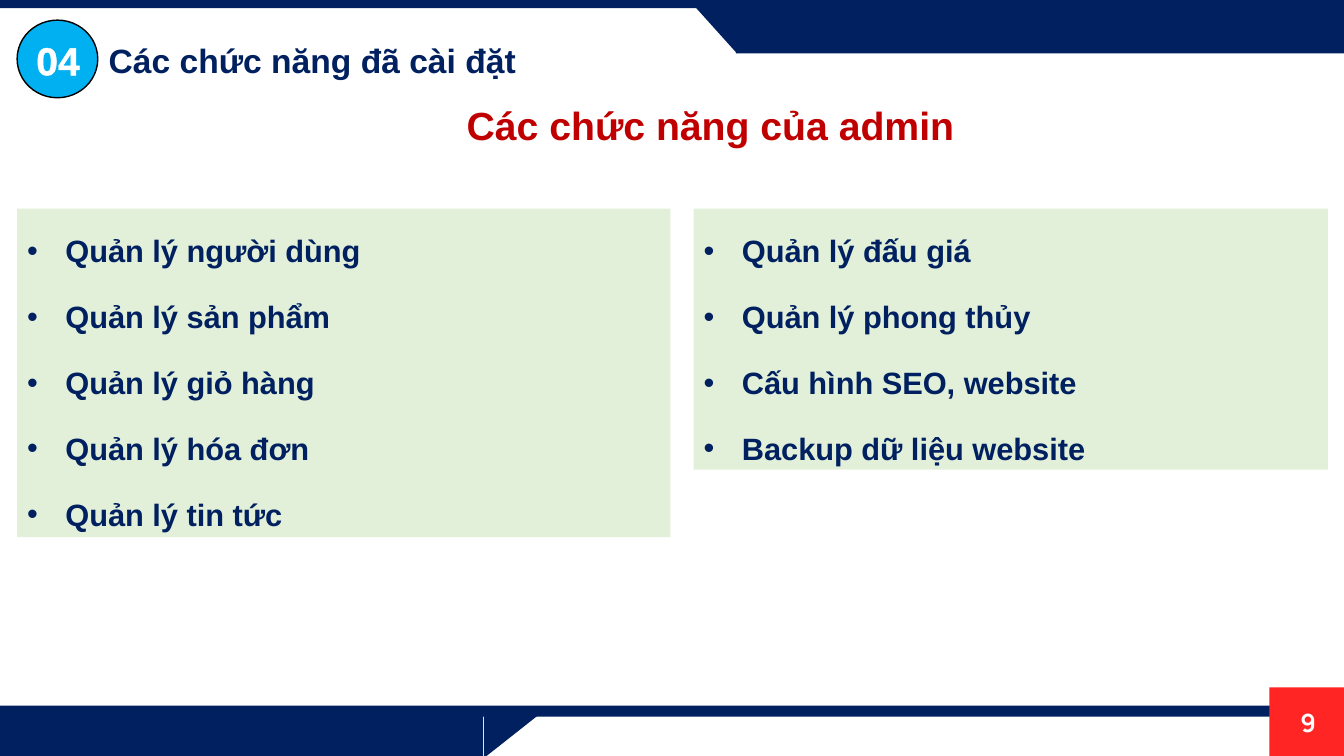
"""Build the slide that lists the admin functions."""
from lxml.etree import SubElement
from pptx import Presentation
from pptx.dml.color import RGBColor as RGB
from pptx.enum.shapes import MSO_SHAPE as Shape
from pptx.enum.text import MSO_ANCHOR as Anchor, MSO_AUTO_SIZE as Fit, PP_ALIGN as Align
from pptx.oxml import parse_xml
from pptx.oxml.ns import nsdecls, qn
from pptx.util import Inches, Pt

COLORS = {"navy": "002060", "red": "FF2525", "title": "C00000", "sky": "00B0F0",
          "green": "E2F0D9", "white": "FFFFFF", "black": "000000"}


def add_block(kind, box, color, turn=0):
    block = slide.shapes.add_shape(kind, *map(Inches, box))
    block.shadow.inherit = False
    block.fill.solid()
    block.fill.fore_color.rgb = RGB.from_string(COLORS[color])
    block.line.fill.background()
    block.rotation = turn
    return block


def style(par, size, color, font="Arial", align=Align.LEFT):
    par.alignment = align
    for run in par.runs:
        run.font.size = Pt(size)
        run.font.name = font
        run.font.bold = True
        run.font.color.rgb = RGB.from_string(COLORS[color])


deck = Presentation()
deck.slide_width, deck.slide_height = Inches(13.33), Inches(7.5)
slide = deck.slides.add_slide(deck.slide_layouts[6])

for kind, box, color, turn in [
    (Shape.RECTANGLE, (0, 7, 13.33, 0.11), "navy", 0),
    (Shape.RECTANGLE, (12.59, 6.82, 0.74, 0.71), "red", 0),
    (Shape.RECTANGLE, (0, 0, 13.33, 0.08), "navy", 0),
    (Shape.RECTANGLE, (7.3, 0.06, 6.04, 0.47), "navy", 0),
    (Shape.RIGHT_TRIANGLE, (6.86, 0.03, 0.45, 0.5), "navy", 180),
    (Shape.RECTANGLE, (0, 7.09, 4.79, 0.44), "navy", 0),
    (Shape.RIGHT_TRIANGLE, (4.86, 7.01, 0.45, 0.57), "navy", 90),
]:
    add_block(kind, box, color, turn)

badge = add_block(Shape.OVAL, (0.17, 0.2, 0.8, 0.77), "sky")
badge.line.color.rgb = RGB.from_string(COLORS["black"])
badge.line.width = Pt(1)

labels = {}
for text, box, size, color, font, align, wrap in [
    ("9", (12.79, 6.97, 0.37, 0.46), 18, "white", "Manrope", Align.CENTER, True),
    ("Các chức năng của admin", (4.53, 0.96, 5.1, 0.57), 28, "title", "Arial", Align.LEFT, False),
    ("04", (0.18, 0.31, 0.79, 0.57), 28, "white", "Arial", Align.CENTER, True),
    ("Các chức năng đã cài đặt", (0.98, 0.35, 5.33, 0.5), 24, "navy", "Arial", Align.LEFT, True),
]:
    frame = slide.shapes.add_textbox(*map(Inches, box)).text_frame
    frame.word_wrap = wrap
    frame.text = text
    style(frame.paragraphs[0], size, color, font, align)
    labels[text] = frame

page = labels["9"]
page.margin_left = page.margin_right = page.margin_bottom = 0
page.margin_top = Inches(0.08)
page.paragraphs[0].line_spacing = 0.9
page.paragraphs[0].space_before = Pt(10)

edge = parse_xml(f'<a:ln {nsdecls("a")} w="{Pt(1)}"><a:solidFill>'
                 f'<a:srgbClr val="{COLORS["white"]}"/></a:solidFill></a:ln>')
labels["04"].paragraphs[0].runs[0].font._element.insert(0, edge)

for box, items in [
    ((0.17, 2.07, 6.48, 3.26), ["Quản lý người dùng", "Quản lý sản phẩm", "Quản lý giỏ hàng",
                                "Quản lý hóa đơn", "Quản lý tin tức"]),
    ((6.88, 2.07, 6.29, 2.59), ["Quản lý đấu giá", "Quản lý phong thủy",
                                "Cấu hình SEO, website", "Backup dữ liệu website"]),
]:
    frame = add_block(Shape.RECTANGLE, box, "green").text_frame
    frame.word_wrap = True
    frame.auto_size = Fit.SHAPE_TO_FIT_TEXT
    frame.vertical_anchor = Anchor.TOP
    frame.text = "\n".join(items)
    for par in frame.paragraphs:
        style(par, 22, "navy")
        par.line_spacing = 1.5
        par.space_after = Pt(7.5)
        props = par._p.get_or_add_pPr()
        props.set("marL", str(Inches(0.38)))
        props.set("indent", str(-Inches(0.38)))
        SubElement(props, qn("a:buFont"), typeface="Arial")
        SubElement(props, qn("a:buChar"), char="•")

deck.save("out.pptx")
